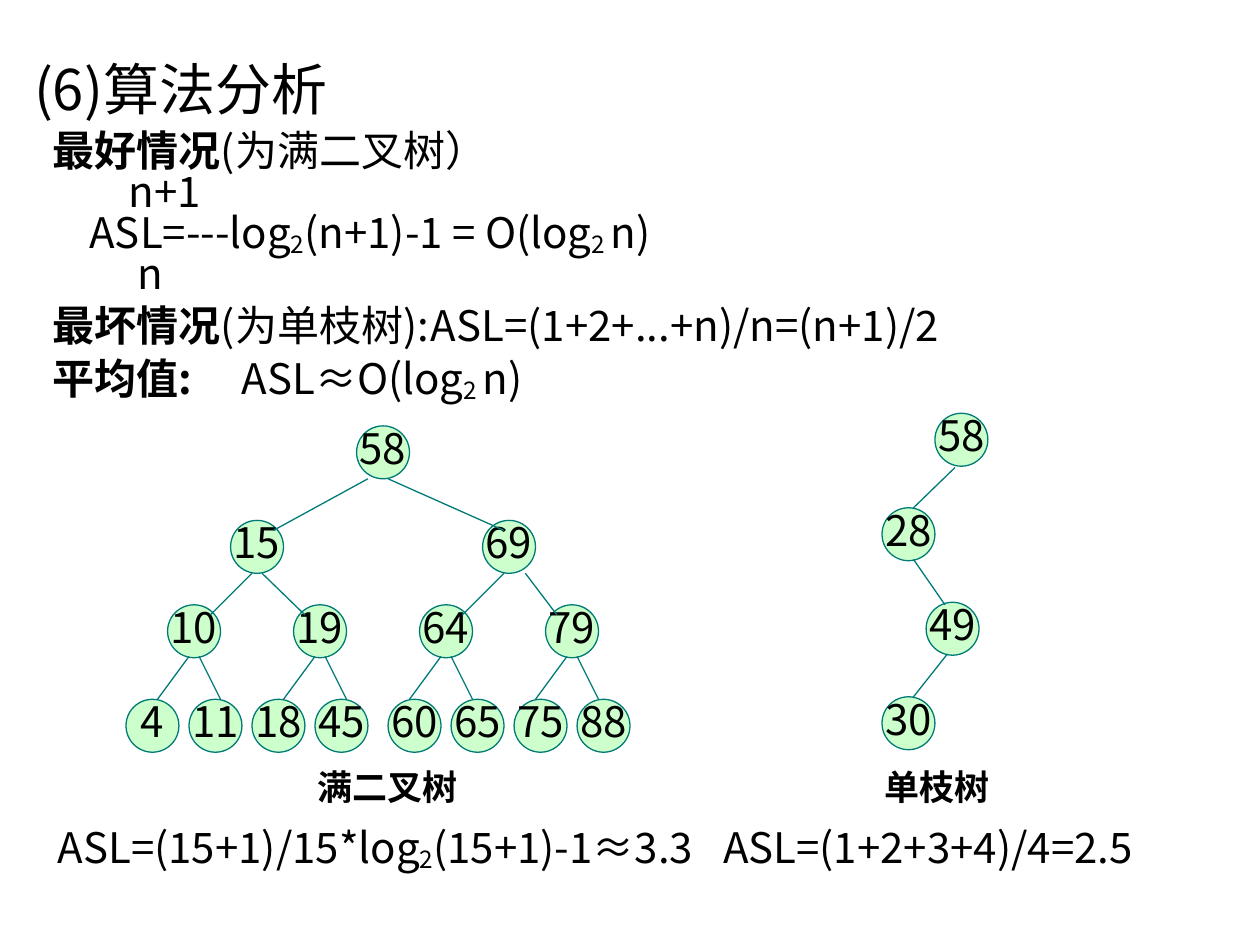
from dataclasses import dataclass

from lxml import etree
from pptx import Presentation
from pptx.dml.color import RGBColor
from pptx.enum import shapes, text
from pptx.oxml.ns import qn
from pptx.util import Inches, Pt


@dataclass(frozen=True)
class Theme:
    font: str = "Noto Sans CJK SC"
    ink: RGBColor = RGBColor(0, 0, 0)
    node: RGBColor = RGBColor(0xCC, 0xFF, 0xCC)
    edge: RGBColor = RGBColor(0x00, 0x7A, 0x77)
    head: int = 32
    body: int = 24
    label: int = 20
    thin: float = 0.75
    size: float = 0.42


THEME = Theme()
BOLD, SUB = "bold", "sub"

# Each line: size, line spacing, left indent, tab stop, runs
LINES = [
    (THEME.head, 1.05, 0, None, [("(6)算法分析", "")]),
    (THEME.body, 1.05, 0.15, None, [("最好情况", BOLD), ("(为满二叉树）", "")]),
    (THEME.body, 0.8, 0.75, None, [("n+1", "")]),
    (THEME.body, 0.8, 0.44, None,
     [("ASL=---log", ""), ("2", SUB), ("(n+1)-1 = O(log", ""),
      ("2 ", SUB), ("n)", "")]),
    (THEME.body, 0.8, 0.82, None, [("n", "")]),
    (THEME.body, 1.05, 0.15, 3.4,
     [("最坏情况", BOLD), ("(为单枝树):\tASL=(1+2+...+n)/n=(n+1)/2", "")]),
    (THEME.body, 1.05, 0.15, 1.48,
     [("平均值:\t", BOLD), ("ASL≈O(log", ""), ("2 ", SUB), ("n)", "")]),
]

# Each note: box, size, runs
NOTES = [
    ((2.42, 6.03, 1.31, 0.44), THEME.label, [("满二叉树", BOLD)]),
    ((6.92, 6.03, 1.03, 0.44), THEME.label, [("单枝树", BOLD)]),
    ((0.36, 6.47, 5.25, 0.51), THEME.body,
     [("ASL=(15+1)/15*log", ""), ("2", SUB), ("(15+1)-1≈3.3", "")]),
    ((5.64, 6.47, 3.48, 0.51), THEME.body, [("ASL=(1+2+3+4)/4=2.5", "")]),
]

# Each level of the full tree: top, then left and key of its nodes
LEVELS = [
    (3.38, [(2.83, 58)]),
    (4.13, [(1.83, 15), (3.83, 69)]),
    (4.8, [(1.33, 10), (2.33, 19), (3.33, 64), (4.33, 79)]),
    (5.55, [(1, 4), (1.5, 11), (2, 18), (2.5, 45),
            (3.08, 60), (3.58, 65), (4.08, 75), (4.58, 88)]),
]
FORKS = [
    (2.92, 3.8, 2.17, 4.21), (3.08, 3.8, 4, 4.21),
    (2, 4.55, 1.67, 4.88), (2.08, 4.55, 2.42, 4.88),
    (4, 4.55, 3.67, 4.88), (4.17, 4.55, 4.42, 4.88),
]
CHAIN = [(7.42, 58), (7, 28), (7.35, 49), (7, 30)]
LINKS = [(7.58, 3.71, 7.25, 4.03), (7.25, 4.44, 7.5, 4.8),
         (7.52, 5.19, 7.25, 5.53)]


def put(obj, vals):
    for name, val in vals.items():
        setattr(obj, name, val)


def set_frame(frame, wrap, anchor=text.MSO_ANCHOR.TOP):
    put(frame, dict(
        word_wrap=wrap, auto_size=text.MSO_AUTO_SIZE.NONE,
        vertical_anchor=anchor,
        margin_left=Inches(0.1), margin_right=Inches(0.1),
        margin_top=Inches(0.05), margin_bottom=Inches(0.05)))


def add_runs(para, runs, size):
    for words, style in runs:
        run = para.add_run()
        run.text = words
        put(run.font, dict(size=Pt(size), name=THEME.font,
                           bold=style == BOLD))
        run.font.color.rgb = THEME.ink
        props = run.font._element
        etree.SubElement(props, qn("a:ea"), typeface=THEME.font)
        if style == SUB:
            props.set("baseline", "-12000")


def set_para(para, left, tab):
    """Clear the bullet, then set the indent and an optional tab stop."""
    props = para._p.get_or_add_pPr()
    props.set("marL", str(Inches(left)))
    props.set("indent", "0")
    etree.SubElement(props, qn("a:buNone"))
    if tab:
        stops = etree.SubElement(props, qn("a:tabLst"))
        etree.SubElement(stops, qn("a:tab"), pos=str(Inches(tab)), algn="l")


def fill_body(slide):
    title = slide.shapes.title._element
    title.getparent().remove(title)
    body = slide.placeholders[1]
    put(body, dict(left=Inches(0.17), top=Inches(0.36),
                   width=Inches(9.83), height=Inches(3.33)))
    frame = body.text_frame
    set_frame(frame, True)
    for i, (size, gap, left, tab, runs) in enumerate(LINES):
        para = frame.add_paragraph() if i else frame.paragraphs[0]
        set_para(para, left, tab)
        put(para, dict(line_spacing=gap, space_before=Pt(0),
                       alignment=text.PP_ALIGN.LEFT))
        add_runs(para, runs, size)


def add_note(slide, box, size, runs):
    shape = slide.shapes.add_textbox(*map(Inches, box))
    set_frame(shape.text_frame, False)
    add_runs(shape.text_frame.paragraphs[0], runs, size)


def add_node(slide, left, top, key):
    side = Inches(THEME.size)
    node = slide.shapes.add_shape(shapes.MSO_SHAPE.OVAL, Inches(left),
                                  Inches(top), side, side)
    node.shadow.inherit = False
    node.fill.solid()
    node.fill.fore_color.rgb = THEME.node
    node.line.color.rgb = THEME.edge
    node.line.width = Pt(THEME.thin)
    set_frame(node.text_frame, False, text.MSO_ANCHOR.MIDDLE)
    para = node.text_frame.paragraphs[0]
    put(para, dict(alignment=text.PP_ALIGN.CENTER, line_spacing=0.8))
    add_runs(para, [(str(key), "")], THEME.body)


def add_edge(slide, *ends):
    edge = slide.shapes.add_connector(shapes.MSO_CONNECTOR.STRAIGHT,
                                      *map(Inches, ends))
    edge.line.color.rgb = THEME.edge
    edge.line.width = Pt(THEME.thin)
    etree.SubElement(edge._element.spPr, qn("a:effectLst"))


def draw_full(slide):
    for top, nodes in LEVELS:
        for left, key in nodes:
            add_node(slide, left, top, key)
    for ends in FORKS:
        add_edge(slide, *ends)
    for i in range(len(LEVELS[-1][1])):
        start = 1.5 + i // 2 + 0.08 * (i % 2)
        add_edge(slide, start, 5.21, 1.25 + 0.5 * i, 5.55)


def draw_chain(slide):
    for i, (left, key) in enumerate(CHAIN):
        add_node(slide, left, 3.28 + 0.75 * i, key)
    for ends in LINKS:
        add_edge(slide, *ends)


def main():
    deck = Presentation()
    put(deck, dict(slide_width=Inches(10), slide_height=Inches(7.5)))
    slide = deck.slides.add_slide(deck.slide_layouts[1])
    fill_body(slide)
    draw_chain(slide)
    draw_full(slide)
    for box, size, runs in NOTES:
        add_note(slide, box, size, runs)
    deck.save("out.pptx")


if __name__ == "__main__":
    main()
